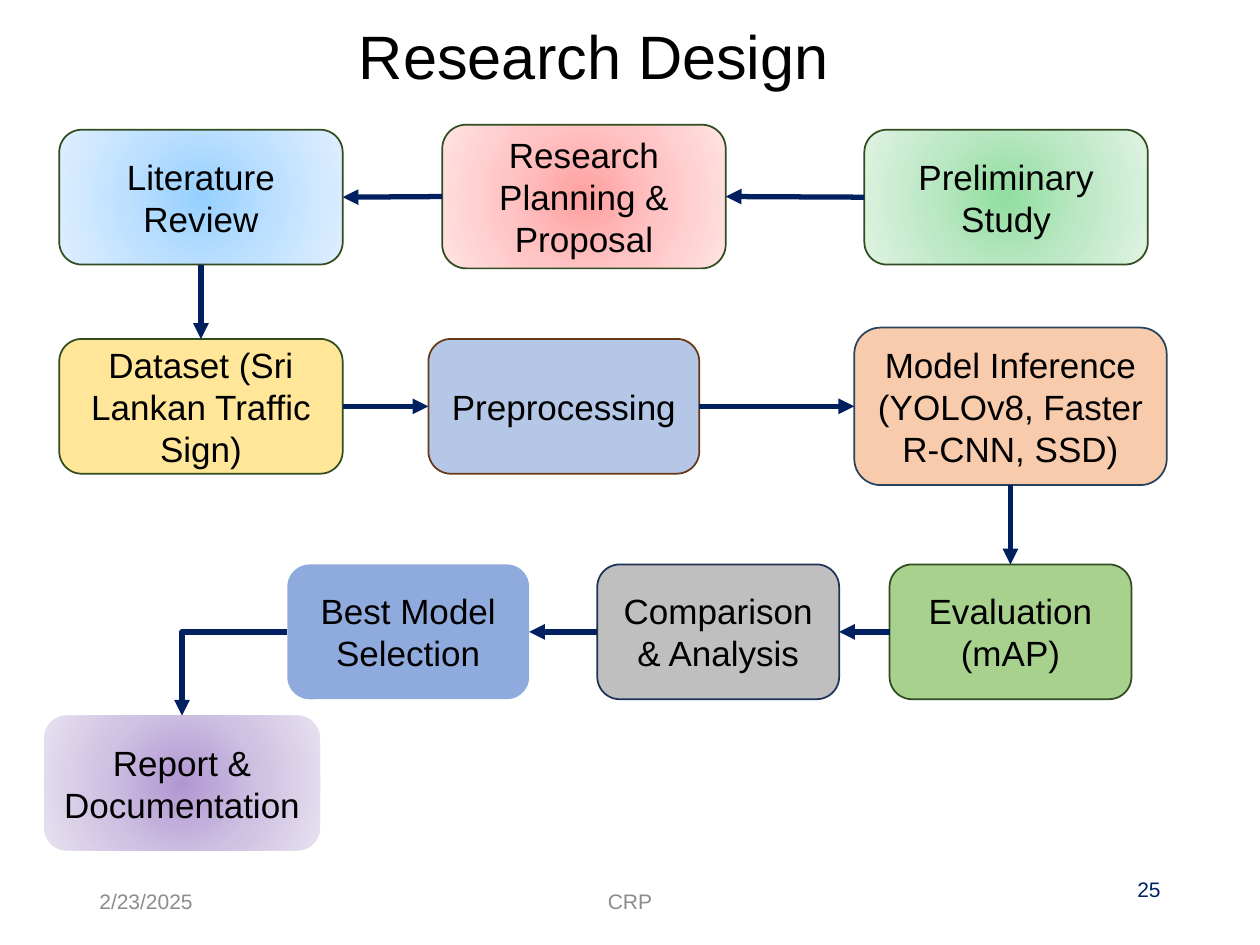
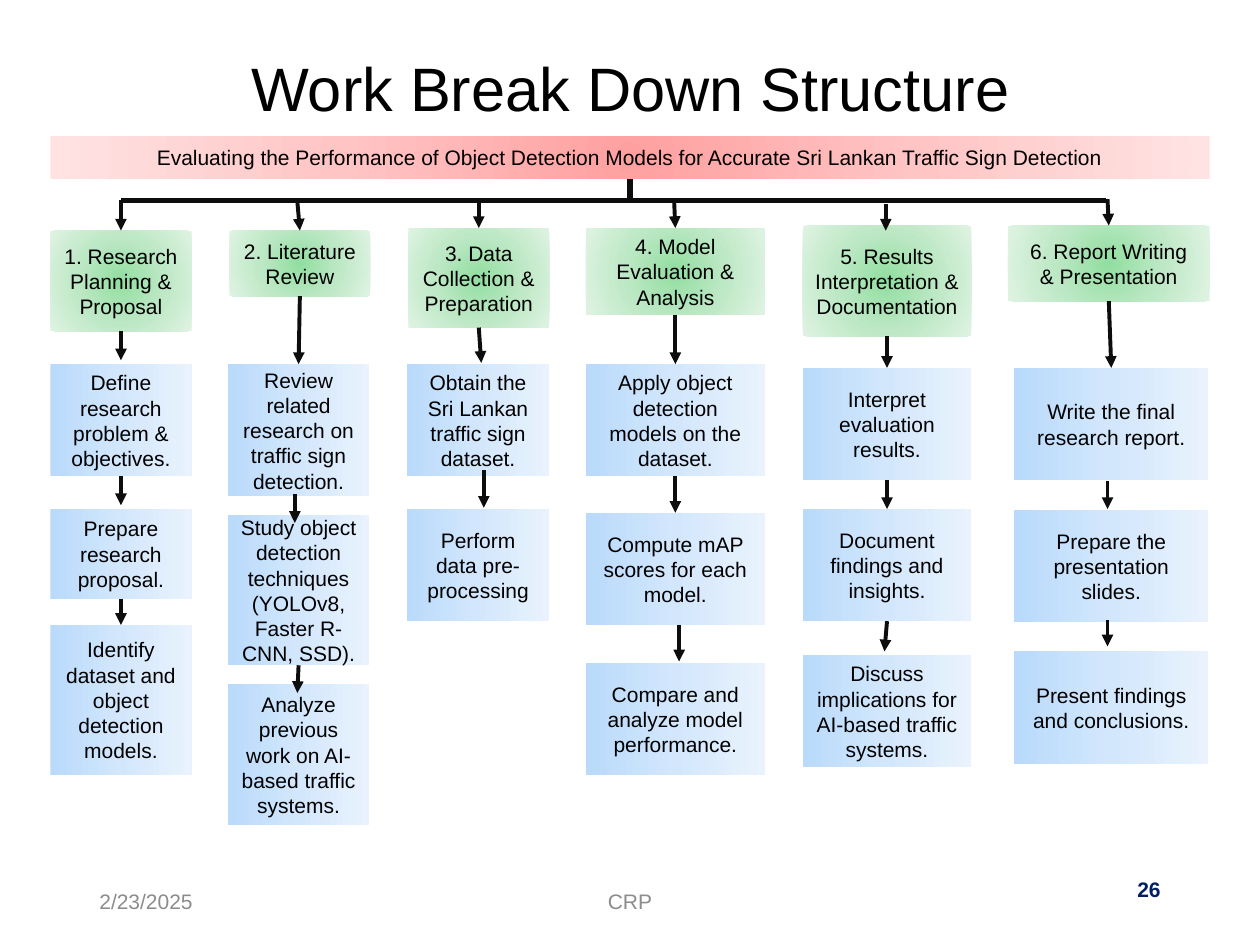
from dataclasses import dataclass

from lxml import etree
from pptx import Presentation
from pptx.dml.color import RGBColor
from pptx.enum.shapes import MSO_CONNECTOR as Link, MSO_SHAPE as Shape
from pptx.enum.text import MSO_ANCHOR as Anchor, PP_ALIGN as Align
from pptx.oxml.ns import qn
from pptx.util import Emu, Pt

EMU_PER_PX = 9144
TOP, LEFT, BOTTOM, RIGHT = range(4)


@dataclass(frozen=True)
class Theme:
    font: str = "Arial"
    title_size: int = 35
    stage_size: int = 20
    small_size: int = 12
    text: str = "000000"
    muted: str = "8C8C8C"
    navy: str = "002060"
    ink: str = "0D0D0D"
    moss: str = "314C1F"
    brown: str = "683715"
    slate: str = "1E3256"
    steel: str = "28445D"
    yellow: str = "FFE699"
    pale_blue: str = "B4C7E7"
    grey: str = "BFBFBF"
    mid_blue: str = "8FAADC"
    peach: str = "F8CBAD"
    leaf: str = "A9D18E"
    red_glow: tuple = ("FFA0A0", "FFC5C5", "FFE3E3")
    blue_glow: tuple = ("96D0FF", "BFE1FF", "E0EFFF")
    green_glow: tuple = ("91DEA0", "BDE8C5", "DFF3E3")
    purple_glow: tuple = ("B197D2", "CEC1E2", "E7E1F0")
    sky_fade: tuple = ("B9DAFB", "D3E7FC", "E9F2FD")


THEME = Theme()


def px(length):
    return Emu(length * EMU_PER_PX)


def rgb(colour):
    return RGBColor.from_string(colour)


def write(frame, text, size, colour=THEME.text, align=Align.CENTER, bold=False):
    frame.word_wrap = True
    frame.vertical_anchor = Anchor.MIDDLE
    paragraph = frame.paragraphs[0]
    paragraph.text = text
    paragraph.alignment = align
    font = paragraph.font
    font.name, font.size, font.bold = THEME.font, Pt(size), bold
    font.color.rgb = rgb(colour)
    return paragraph


def add_label(slide, text, area, size, **style):
    label = slide.shapes.add_textbox(*map(px, area))
    return write(label.text_frame, text, size, **style)


def add_frame(slide, title, title_area, page, page_bold=False):
    small = THEME.small_size
    add_label(slide, "2/23/2025", (69, 695, 225, 40), small,
              colour=THEME.muted, align=Align.LEFT)
    add_label(slide, "CRP", (331, 695, 338, 40), small, colour=THEME.muted)
    add_label(slide, page, (706, 676, 225, 60), small,
              colour=THEME.navy, align=Align.RIGHT, bold=page_bold)
    add_label(slide, title, title_area, THEME.title_size).line_spacing = 0.9


def fill_gradient(box, colours, radial):
    box.fill.background()
    properties = box.element.spPr
    gradient = etree.Element(qn("a:gradFill"), rotWithShape="1")
    stops = etree.SubElement(gradient, qn("a:gsLst"))
    for position, colour in zip((0, 50000, 100000), colours):
        stop = etree.SubElement(stops, qn("a:gs"), pos=str(position))
        etree.SubElement(stop, qn("a:srgbClr"), val=colour)
    if radial:
        circle = etree.SubElement(gradient, qn("a:path"), path="circle")
        etree.SubElement(circle, qn("a:fillToRect"),
                         l="50000", t="50000", r="50000", b="50000")
    else:
        etree.SubElement(gradient, qn("a:lin"), ang="0", scaled="1")
    properties.replace(properties.find(qn("a:noFill")), gradient)


def add_box(slide, outline, text, area, size, fill, border=None, radial=True):
    box = slide.shapes.add_shape(outline, *map(px, area))
    box.shadow.inherit = False
    if isinstance(fill, tuple):
        fill_gradient(box, fill, radial)
    else:
        box.fill.solid()
        box.fill.fore_color.rgb = rgb(fill)
    if border:
        box.line.color.rgb = rgb(border)
        box.line.width = Pt(1)
    else:
        box.line.fill.background()
    write(box.text_frame, text, size)
    return box


def add_line(slide, start, end, colour, width, arrow=True, kind=Link.STRAIGHT):
    line = slide.shapes.add_connector(kind, *map(px, (*start, *end)))
    line.line.color.rgb = rgb(colour)
    line.line.width = Pt(width)
    if arrow:
        etree.SubElement(line.line._get_or_add_ln(), qn("a:tailEnd"), type="triangle")
    etree.SubElement(line.element.spPr, qn("a:effectLst"))
    return line


def link_stages(slide, source, source_side, target, target_side, kind=Link.STRAIGHT):
    line = add_line(slide, (0, 0), (0, 0), THEME.navy, 3, kind=kind)
    line.begin_connect(source, source_side)
    line.end_connect(target, target_side)
    if kind == Link.ELBOW:
        line.element.spPr.find(qn("a:prstGeom")).set("prst", "bentConnector2")


def meets(box, x, y, side):
    edge = box.top if side == TOP else box.top + box.height
    middle = box.left + box.width // 2
    return abs(px(x) - middle) <= px(2) and abs(px(y) - edge) <= px(2)


def add_drop(slide, x, start, end, lower, upper=None):
    drop = add_line(slide, (x, start), (x, end), THEME.ink, 2.25)
    if upper is not None and meets(upper, x, start, BOTTOM):
        drop.begin_connect(upper, BOTTOM)
    if meets(lower, x, end, TOP):
        drop.end_connect(lower, TOP)


def build_research_design(slide):
    add_frame(slide, "Research Design", (144, 0, 655, 95), "25")

    def stage(text, area, fill, border=None):
        return add_box(slide, Shape.ROUNDED_RECTANGLE, text, area,
                       THEME.stage_size, fill, border)

    preliminary = stage("Preliminary Study", (686, 103, 225, 107),
                        THEME.green_glow, THEME.moss)
    planning = stage("Research Planning & Proposal", (351, 99, 225, 114),
                     THEME.red_glow, THEME.moss)
    literature = stage("Literature Review", (47, 103, 225, 107),
                       THEME.blue_glow, THEME.moss)
    dataset = stage("Dataset (Sri Lankan Traffic Sign)", (47, 269, 225, 107),
                    THEME.yellow, THEME.moss)
    preprocessing = stage("Preprocessing", (340, 269, 215, 107),
                          THEME.pale_blue, THEME.brown)
    inference = stage("Model Inference (YOLOv8, Faster R-CNN, SSD)",
                      (678, 260, 248, 125), THEME.peach, THEME.steel)
    evaluation = stage("Evaluation (mAP)", (706, 448, 192, 107),
                       THEME.leaf, THEME.moss)
    comparison = stage("Comparison & Analysis", (474, 448, 192, 107),
                       THEME.grey, THEME.slate)
    selection = stage("Best Model Selection", (228, 448, 192, 107), THEME.mid_blue)
    report = stage("Report & Documentation", (35, 568, 219, 107), THEME.purple_glow)

    for source, source_side, target, target_side in (
        (preliminary, LEFT, planning, RIGHT),
        (planning, LEFT, literature, RIGHT),
        (literature, BOTTOM, dataset, TOP),
        (dataset, RIGHT, preprocessing, LEFT),
        (preprocessing, RIGHT, inference, LEFT),
        (inference, BOTTOM, evaluation, TOP),
        (evaluation, LEFT, comparison, RIGHT),
        (comparison, LEFT, selection, RIGHT),
    ):
        link_stages(slide, source, source_side, target, target_side)
    link_stages(slide, selection, LEFT, report, TOP, Link.ELBOW)


@dataclass(frozen=True)
class Phase:
    name: str
    area: tuple
    steps_left: int
    steps_width: int
    steps: tuple
    drops: tuple


PHASES = (
    Phase("1. Research Planning & Proposal", (40, 183, 112, 80), 40, 112,
          (("Define research problem & objectives.", 289, 89),
           ("Prepare research proposal.", 404, 71),
           ("Identify dataset and object detection models.", 496, 119)),
          ((96, 159, 183), (96, 263, 286), (96, 377, 401), (97, 474, 497))),
    Phase("2. Literature Review", (182, 183, 112, 52), 181, 112,
          (("Review related research on traffic sign detection.", 289, 105),
           ("Study object detection techniques (YOLOv8, Faster R-CNN, SSD).", 409, 119),
           ("Analyze previous work on AI-based traffic systems.", 543, 112)),
          ((236, 160, 183), (237, 234, 289), (234, 392, 415), (236, 527, 550))),
    Phase("3. Data Collection & Preparation", (324, 181, 112, 79), 323, 113,
          (("Obtain the Sri Lankan traffic sign dataset.", 289, 89),
           ("Perform data pre-processing", 404, 89)),
          ((380, 159, 181), (382, 259, 288), (384, 373, 403))),
    Phase("4. Model Evaluation & Analysis", (465, 181, 142, 69), 465, 142,
          (("Apply object detection models on the dataset.", 289, 89),
           ("Compute mAP scores for each model.", 407, 89),
           ("Compare and analyze model performance.", 526, 89)),
          ((535, 159, 180), (536, 249, 289), (536, 378, 407), (539, 496, 525))),
    Phase("5. Results Interpretation & Documentation", (637, 179, 134, 88), 637, 134,
          (("Interpret evaluation results.", 292, 89),
           ("Document findings and insights.", 404, 89),
           ("Discuss implications for AI-based traffic systems.", 520, 89)),
          ((703, 162, 183), (705, 269, 291), (704, 383, 405), (702, 495, 517))),
    Phase("6. Report Writing & Presentation", (800, 179, 160, 60), 805, 154,
          (("Write the final research report.", 292, 89),
           ("Prepare the presentation slides.", 405, 89),
           ("Present findings and conclusions.", 517, 89)),
          ((879, 158, 180), (880, 239, 294), (879, 382, 404), (879, 492, 513))),
)


def add_phase(slide, phase):
    small = THEME.small_size
    chain = [add_box(slide, Shape.FLOWCHART_PROCESS, phase.name, phase.area,
                     small, THEME.green_glow)]
    for text, top, height in phase.steps:
        area = (phase.steps_left, top, phase.steps_width, height)
        chain.append(add_box(slide, Shape.FLOWCHART_PROCESS, text, area,
                             small, THEME.sky_fade, radial=False))
    for drop, upper, lower in zip(phase.drops, [None, *chain], chain):
        add_drop(slide, *drop, lower, upper)


def build_work_breakdown(slide):
    add_frame(slide, "Work Break Down Structure", (173, 25, 655, 95), "26", True)
    project = add_box(
        slide, Shape.FLOWCHART_PROCESS,
        "Evaluating the Performance of Object Detection Models for Accurate "
        "Sri Lankan Traffic Sign Detection",
        (40, 108, 920, 34), THEME.small_size, THEME.red_glow)
    stem = add_line(slide, (500, 142), (500, 159), THEME.ink, 3, arrow=False)
    stem.begin_connect(project, BOTTOM)
    add_line(slide, (96, 159), (878, 159), THEME.ink, 3, arrow=False)
    for phase in PHASES:
        add_phase(slide, phase)


def main():
    deck = Presentation()
    deck.slide_width, deck.slide_height = px(1000), px(750)
    blank = deck.slide_layouts[6]
    for build in (build_research_design, build_work_breakdown):
        build(deck.slides.add_slide(blank))
    deck.save("out.pptx")


if __name__ == "__main__":
    main()
